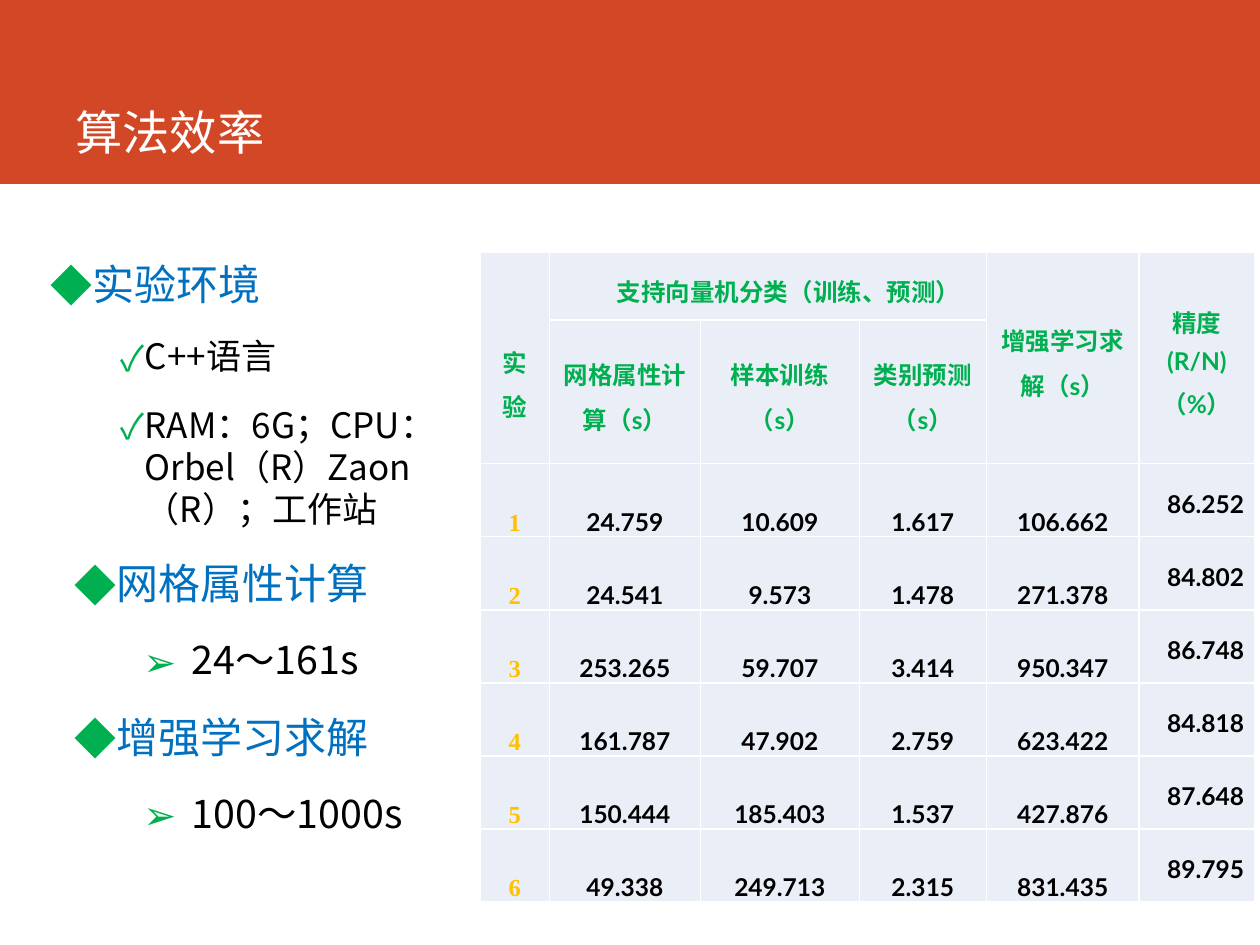
"""Build a slide on algorithm efficiency: test setup beside a timing table."""
import pptx
import pptx.util
import pptx.dml.color
import pptx.enum.shapes
import pptx.enum.text
import pptx.oxml.ns
import lxml.etree

Inches, Pt = pptx.util.Inches, pptx.util.Pt
ALIGN = pptx.enum.text.PP_ALIGN
ANCHOR = pptx.enum.text.MSO_ANCHOR
CJK = "Noto Sans CJK SC"
GREEN, BLUE, BLACK, GOLD = "00B050", "0070C0", "000000", "FFC000"

TITLE = "算法效率"
STYLES = {
    "top": (0, "◆", 0.19, 0.19, 24, BLUE),
    "check": (1, "✓", 0.75, 0.19, 20, BLACK),
    "head": (0, "◆", 0.38, 0.19, 24, BLUE),
    "time": (1, "➢", 1.12, 0.38, 22.5, BLACK),
}
POINTS = [
    ("top", "实验环境"),
    ("check", "C++语言"),
    ("check", "RAM：6G；CPU：Orbel（R）Zaon（R）；工作站"),
    ("head", "网格属性计算"),
    ("time", "24～161s"),
    ("head", "增强学习求解"),
    ("time", "100～1000s"),
]
WIDTHS = [0.55, 1.2, 1.26, 1.01, 1.21, 0.92]
HEIGHTS = [0.54, 1.14] + [0.58] * 6
HEADS = [
    (0, 0, 1, 0, "实验"),
    (0, 1, 0, 3, "支持向量机分类（训练、预测）"),
    (0, 4, 1, 4, "增强学习求解（s）"),
    (0, 5, 1, 5, "精度(R/N)（%）"),
    (1, 1, 1, 1, "网格属性计算（s）"),
    (1, 2, 1, 2, "样本训练（s）"),
    (1, 3, 1, 3, "类别预测（s）"),
]
RESULTS = [
    ("1", "24.759", "10.609", "1.617", "106.662", "86.252"),
    ("2", "24.541", "9.573", "1.478", "271.378", "84.802"),
    ("3", "253.265", "59.707", "3.414", "950.347", "86.748"),
    ("4", "161.787", "47.902", "2.759", "623.422", "84.818"),
    ("5", "150.444", "185.403", "1.537", "427.876", "87.648"),
    ("6", "49.338", "249.713", "2.315", "831.435", "89.795"),
]


def rgb(code):
    return pptx.dml.color.RGBColor.from_string(code)


def add_tag(node, tag, **attrs):
    return lxml.etree.SubElement(node, pptx.oxml.ns.qn(tag), **attrs)


def style(para, size, color, face=CJK, bold=False):
    font = para.font
    font.size, font.bold, font.name = Pt(size), bold, face
    font.color.rgb = rgb(color)
    for run in para.runs:
        add_tag(run._r.get_or_add_rPr(), "a:ea", typeface=CJK)


def add_box(slide, left, top, width, height):
    box = slide.shapes.add_textbox(*map(Inches, (left, top, width, height)))
    box.text_frame.word_wrap = True
    return box.text_frame


def add_title(slide):
    band = slide.shapes.add_shape(
        pptx.enum.shapes.MSO_SHAPE.RECTANGLE, 0, 0, Inches(10), Inches(1.46))
    band.shadow.inherit = False
    band.fill.solid()
    band.fill.fore_color.rgb = rgb("D24726")
    band.line.fill.background()
    frame = add_box(slide, 0.5, 0, 8.82, 1.32)
    frame.vertical_anchor = ANCHOR.BOTTOM
    frame.text = TITLE
    style(frame.paragraphs[0], 27, "FFFFFF")


def add_points(slide):
    frame = add_box(slide, 0.3, 2, 3.42, 4.76)
    for i, (kind, text) in enumerate(POINTS):
        level, mark, left, hang, size, color = STYLES[kind]
        para = frame.add_paragraph() if i else frame.paragraphs[0]
        para.text, para.level = text, level
        para.line_spacing = 1.0
        para.space_before, para.space_after = Pt(size * 0.3), Pt(9)
        props = para._p.get_or_add_pPr()
        props.set("marL", str(Inches(left)))
        props.set("indent", str(-Inches(hang)))
        tint = add_tag(props, "a:buClr")
        add_tag(tint, "a:srgbClr", val=GREEN)
        add_tag(props, "a:buFont", typeface=CJK)
        add_tag(props, "a:buChar", char=mark)
        style(para, size, color)


def fill_cell(cell, text, color, face="Lato", anchor=ANCHOR.MIDDLE):
    cell.text = text
    cell.vertical_anchor = anchor
    cell.margin_left = cell.margin_right = Inches(0.07)
    cell.margin_top = cell.margin_bottom = 0
    para = cell.text_frame.paragraphs[0]
    para.alignment, para.line_spacing = ALIGN.CENTER, 1.25
    style(para, 14, color, face, True)


def add_grid(slide):
    grid = slide.shapes.add_table(
        len(HEIGHTS), len(WIDTHS), Inches(3.81), Inches(2),
        Inches(sum(WIDTHS)), Inches(sum(HEIGHTS))).table
    grid.first_row = grid.horz_banding = False
    for col, width in zip(grid.columns, WIDTHS):
        col.width = Inches(width)
    for row, height in zip(grid.rows, HEIGHTS):
        row.height = Inches(height)
    for cell in grid.iter_cells():
        cell.fill.solid()
        cell.fill.fore_color.rgb = rgb("EAEFF7")
    for top, left, low, right, text in HEADS:
        cell = grid.cell(top, left)
        if (top, left) != (low, right):
            cell.merge(grid.cell(low, right))
        fill_cell(cell, text, GREEN)
    grid.cell(0, 0).margin_top = Inches(0.34)
    grid.cell(0, 0).margin_left = grid.cell(0, 0).margin_right = Inches(0.12)
    grid.cell(0, 1).margin_left = Inches(0.4)
    last = len(WIDTHS) - 1
    for i, row in enumerate(RESULTS, 2):
        for j, text in enumerate(row):
            cell = grid.cell(i, j)
            color, face = (BLACK, "Lato") if j else (GOLD, "Times New Roman")
            anchor = ANCHOR.MIDDLE if j == last else ANCHOR.BOTTOM
            fill_cell(cell, text, color, face, anchor)
        cell.margin_left = Inches(0.21)


def main():
    deck = pptx.Presentation()
    deck.slide_width, deck.slide_height = Inches(10), Inches(7.5)
    slide = deck.slides.add_slide(deck.slide_layouts[6])
    add_title(slide)
    add_points(slide)
    add_grid(slide)
    deck.save("out.pptx")


if __name__ == "__main__":
    main()
